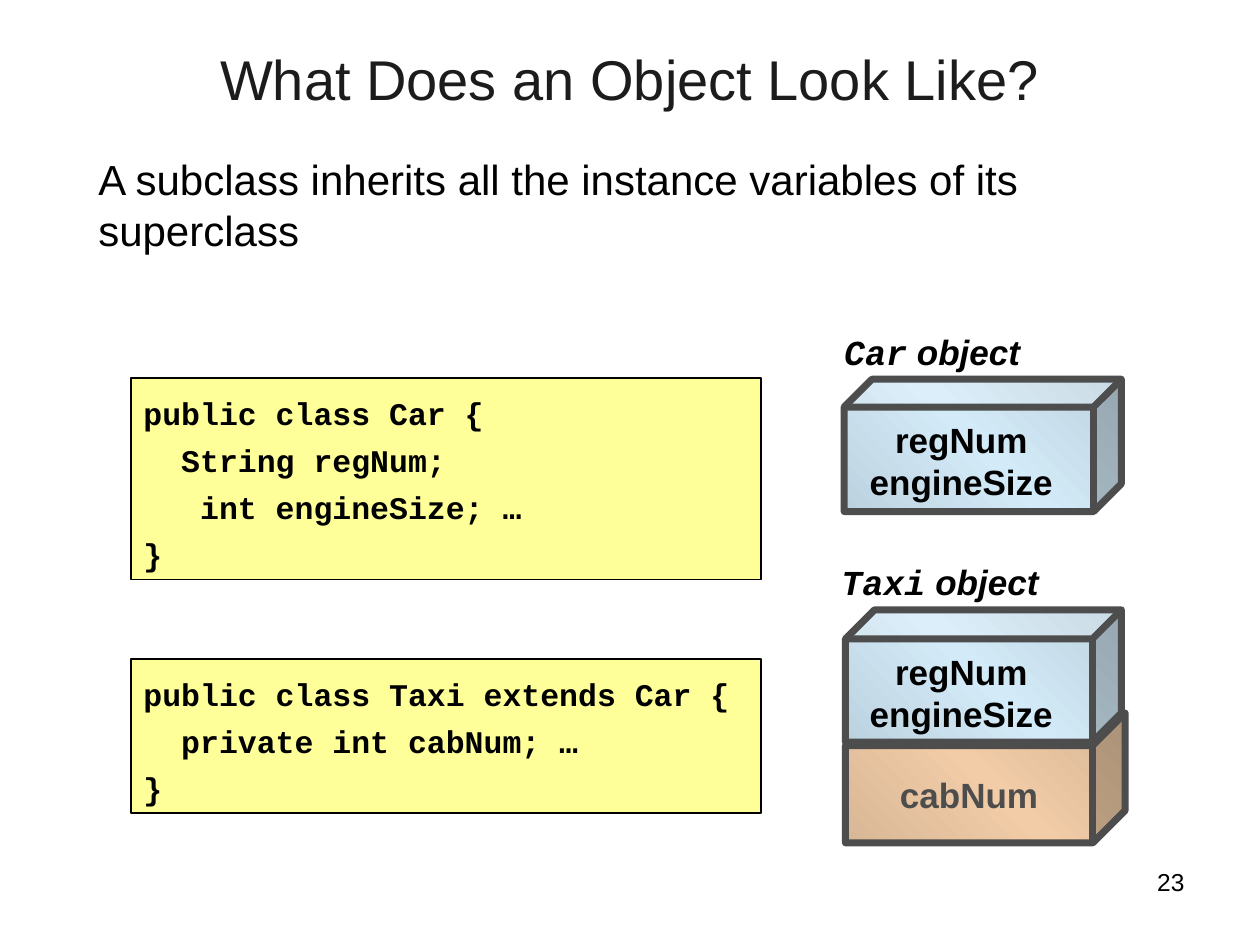
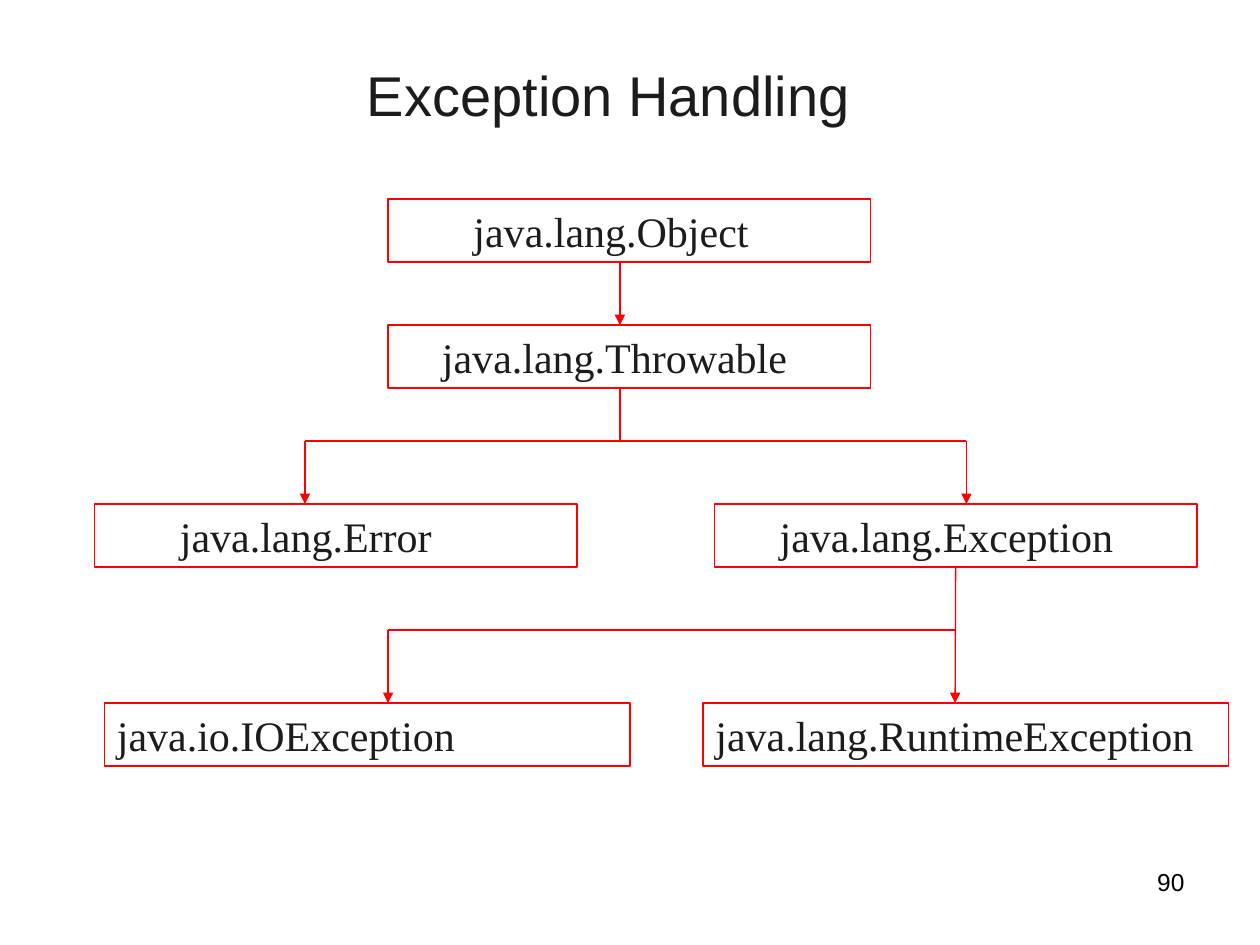
"""Build two Java teaching slides: object layout and the exception hierarchy."""
import copy
import dataclasses

import pptx
import pptx.dml.color
import pptx.enum.shapes
import pptx.enum.text
import pptx.oxml
import pptx.oxml.ns
import pptx.util
from pptx.util import Inches

SHAPES = pptx.enum.shapes.MSO_SHAPE
ALIGN = pptx.enum.text.PP_ALIGN
ANCHOR = pptx.enum.text.MSO_ANCHOR
FIT = pptx.enum.text.MSO_AUTO_SIZE


@dataclasses.dataclass(frozen=True)
class Theme:
    """Colours, fonts and type sizes shared by the slides."""
    sans: str = "Arial"
    mono: str = "Courier New"
    serif: str = "Times New Roman"
    black: str = "000000"
    ink: str = "1C1C1C"
    edge: str = "4D4D4D"
    code_fill: str = "FFFF99"
    tree: str = "FF0000"
    blue: tuple = ("BDD2DF", "D3EAF8", "BDD2DF")
    orange: tuple = ("D8B796", "F1CCA7", "D8B796")
    title_size: int = 32
    body_size: int = 24
    label_size: int = 20
    code_size: int = 18
    number_size: int = 14


THEME = Theme()


def rgb(value):
    """Turn a hex string into a colour."""
    return pptx.dml.color.RGBColor.from_string(value)


def place(shape, left, top, width, height):
    """Move and size a shape, in inches."""
    shape.left, shape.top = Inches(left), Inches(top)
    shape.width, shape.height = Inches(width), Inches(height)


def add_span(para, text, font, size, color=THEME.black, bold=False, italic=False):
    """Append one formatted run."""
    span = para.add_run()
    span.text = text
    span.font.name, span.font.size = font, pptx.util.Pt(size)
    span.font.bold, span.font.italic = bold, italic
    span.font.color.rgb = rgb(color)


def set_indent(para, inches):
    """Indent a whole paragraph from the left."""
    properties = para._p.get_or_add_pPr()
    properties.set("marL", str(Inches(inches)))
    properties.set("indent", "0")


def set_frame(shape, anchor=ANCHOR.TOP, fit=FIT.NONE, wrap=True):
    """Set up a text frame and return it."""
    frame = shape.text_frame
    frame.word_wrap, frame.auto_size = wrap, fit
    frame.vertical_anchor = anchor
    return frame


def add_paragraphs(frame, count):
    """Return the first paragraph followed by enough new ones."""
    return [frame.paragraphs[0]] + [frame.add_paragraph() for _ in range(count - 1)]


def add_text_box(page, left, top, width, height, fit=FIT.SHAPE_TO_FIT_TEXT):
    """Add a wrapping text box and return its frame."""
    box = page.shapes.add_textbox(*map(Inches, (left, top, width, height)))
    return set_frame(box, fit=fit)


def add_outlined(page, kind, bounds, color, weight):
    """Add an unfilled preset shape with a coloured outline."""
    shape = page.shapes.add_shape(kind, *map(Inches, bounds))
    shape.shadow.inherit = False
    shape.fill.background()
    shape.line.color.rgb = rgb(color)
    shape.line.width = pptx.util.Pt(weight)
    return shape


def add_page(deck, layout, title, bounds, anchor, number):
    """Add a slide with its title and page number."""
    page = deck.slides.add_slide(deck.slide_layouts[layout])
    place(page.shapes.title, *bounds)
    para = set_frame(page.shapes.title, anchor).paragraphs[0]
    para.alignment = ALIGN.CENTER
    add_span(para, title, THEME.sans, THEME.title_size, THEME.ink)
    para = add_text_box(page, 7.17, 6.83, 2.33, 0.52, FIT.NONE).paragraphs[0]
    para.alignment = ALIGN.RIGHT
    add_span(para, number, THEME.sans, THEME.number_size)
    return page


def add_statement(page, text):
    """Fill the body placeholder with one unbulleted paragraph."""
    body = page.placeholders[1]
    place(body, 0.68, 1.17, 8.72, 0.9)
    para = set_frame(body).paragraphs[0]
    para.space_before = pptx.util.Pt(6)
    set_indent(para, 0)
    bullet = pptx.oxml.parse_xml(f"<a:buNone {pptx.oxml.ns.nsdecls('a')}/>")
    para._p.get_or_add_pPr().append(bullet)
    add_span(para, text, THEME.sans, THEME.body_size)


def add_code(page, top, height, lines):
    """Add a yellow listing from (indent in characters, text) lines."""
    box = add_outlined(page, SHAPES.RECTANGLE, (1.04, top, 5, height), THEME.black, 1)
    box.fill.solid()
    box.fill.fore_color.rgb = rgb(THEME.code_fill)
    frame = set_frame(box, fit=FIT.SHAPE_TO_FIT_TEXT)
    for para, (indent, text) in zip(add_paragraphs(frame, len(lines)), lines):
        para.alignment = ALIGN.LEFT
        para.line_spacing = 1.25
        set_indent(para, indent * 0.15)
        add_span(para, text, THEME.mono, THEME.code_size, bold=True)


def add_cube(page, bounds, depth, colors):
    """Add a cube with a diagonal three-stop gradient."""
    cube = add_outlined(page, SHAPES.CUBE, bounds, THEME.edge, 4)
    cube.adjustments[0] = depth
    cube.fill.gradient()
    cube.fill.gradient_angle = 45
    stops = cube._element.spPr.find(".//" + pptx.oxml.ns.qn("a:gsLst"))
    stops.append(copy.deepcopy(stops[0]))
    for stop, color, position in zip(cube.fill.gradient_stops, colors, (0, 0.5, 1)):
        stop.color.rgb, stop.position = rgb(color), position
    return cube


def add_car_cube(page, bounds, depth, text_top):
    """Add the blue cube that lists the Car variables."""
    add_cube(page, bounds, depth, THEME.blue)
    frame = add_text_box(page, 6.76, text_top, 1.74, 0.76)
    for para, name in zip(add_paragraphs(frame, 2), ("regNum", "engineSize")):
        para.alignment = ALIGN.CENTER
        add_span(para, name, THEME.sans, THEME.label_size, bold=True)


def add_object_label(page, class_name, left, top, width):
    """Add the italic caption above an object."""
    para = add_text_box(page, left, top, width, 0.42).paragraphs[0]
    para.line_spacing, para.space_before = 0.95, pptx.util.Pt(8.8)
    for text, font in ((class_name, THEME.mono), (" object", THEME.sans)):
        add_span(para, text, font, THEME.label_size, bold=True, italic=True)


def add_class_box(page, name, left, top, width, indent):
    """Add a red-outlined class name."""
    box = add_outlined(page, SHAPES.RECTANGLE, (left, top, width, 0.5), THEME.tree, 0.75)
    para = set_frame(box, fit=FIT.SHAPE_TO_FIT_TEXT).paragraphs[0]
    para.alignment = ALIGN.LEFT
    para.space_before = pptx.util.Pt(15)
    set_indent(para, indent)
    add_span(para, name, THEME.serif, THEME.body_size, THEME.ink)
    return box


def add_branch(page, start, end, arrow=False):
    """Add a red line, with an arrowhead at its end if asked."""
    line = page.shapes.add_connector(
        pptx.enum.shapes.MSO_CONNECTOR.STRAIGHT, *map(Inches, start + end))
    line.line.color.rgb = rgb(THEME.tree)
    line.line.width = pptx.util.Pt(0.75)
    namespace = pptx.oxml.ns.nsdecls("a")
    if arrow:
        head = pptx.oxml.parse_xml(f'<a:tailEnd {namespace} type="triangle"/>')
        line.line._get_or_add_ln().append(head)
    line._element.spPr.append(pptx.oxml.parse_xml(f"<a:effectLst {namespace}/>"))
    return line


def build_object_page(deck):
    """Show the variables held by Car and Taxi objects."""
    page = add_page(deck, 1, "What Does an Object Look Like?",
                    (0.5, 0.3, 9, 0.7), ANCHOR.TOP, "23")
    add_statement(page, "A subclass inherits all the instance variables of its superclass")
    add_code(page, 3, 1.6, [(0, "public class Car {"), (2, "String regNum;"),
                            (3, "int engineSize; …"), (0, "}")])
    add_code(page, 5.23, 1.22, [(0, "public class Taxi extends Car {"),
                                (2, "private int cabNum; …"), (0, "}")])
    add_car_cube(page, (6.7, 3.01, 2.2, 1.05), 0.21, 3.27)
    cab = add_cube(page, (6.71, 5.66, 2.22, 1.03), 0.25, THEME.orange)
    para = set_frame(cab, ANCHOR.MIDDLE, wrap=False).paragraphs[0]
    para.alignment = ALIGN.CENTER
    add_span(para, "cabNum", THEME.sans, THEME.label_size, THEME.edge, bold=True)
    add_car_cube(page, (6.71, 4.84, 2.19, 1.05), 0.22, 5.11)
    add_object_label(page, "Car", 6.6, 2.6, 1.72)
    add_object_label(page, "Taxi", 6.58, 4.42, 2.04)


def build_exception_page(deck):
    """Draw the exception class hierarchy."""
    page = add_page(deck, 5, "Exception Handling",
                    (0.58, 0.25, 8.5, 1), ANCHOR.MIDDLE, "90")
    classes = [
        ("java.lang.Object", 3.08, 1.58, 3.83, 0.58),
        ("java.lang.Throwable", 3.08, 2.58, 3.83, 0.33),
        ("java.lang.Error", 0.75, 4, 3.83, 0.58),
        ("java.lang.Exception", 5.67, 4, 3.83, 0.42),
        ("java.io.IOException", 0.83, 5.58, 4.17, 0),
        ("java.lang.RuntimeException", 5.58, 5.58, 4.17, 0),
    ]
    boxes = {entry[0]: add_class_box(page, *entry) for entry in classes}
    trunk, error, exception, runtime, io_error = 4.92, 2.42, 7.67, 7.58, 3.08
    upper, lower = 3.5, 5
    add_branch(page, (trunk, 2.08), (trunk, 2.58), arrow=True)
    add_branch(page, (trunk, 3.08), (trunk, upper))
    for child in (error, exception):
        add_branch(page, (trunk, upper), (child, upper))
        add_branch(page, (child, upper), (child, 4), arrow=True)
    stem = add_branch(page, (runtime, 4.5), (runtime, 5.58), arrow=True)
    stem.begin_connect(boxes["java.lang.Exception"], 2)
    add_branch(page, (runtime, lower), (io_error, lower))
    add_branch(page, (io_error, lower), (io_error, 5.58), arrow=True)


def main():
    """Build and save the deck."""
    deck = pptx.Presentation()
    deck.slide_width, deck.slide_height = Inches(10), Inches(7.5)
    build_object_page(deck)
    build_exception_page(deck)
    deck.save("out.pptx")


if __name__ == "__main__":
    main()
